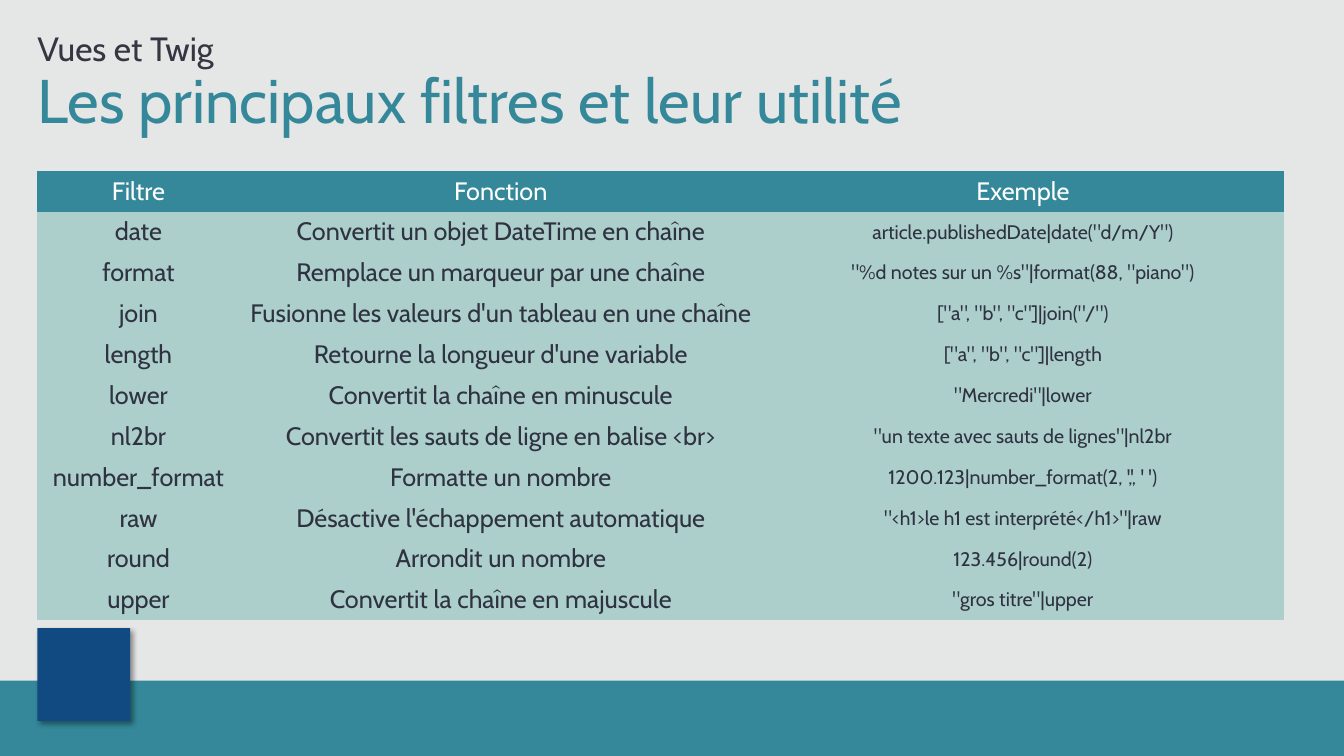
from dataclasses import dataclass

from lxml.etree import SubElement
from pptx import Presentation
from pptx.dml.color import RGBColor as Rgb
from pptx.enum.shapes import MSO_SHAPE as Shape
from pptx.enum.text import MSO_ANCHOR as Anchor, MSO_AUTO_SIZE as AutoSize, PP_ALIGN as Align
from pptx.oxml.ns import qn
from pptx.util import Cm, Pt


@dataclass(frozen=True)
class Theme:
    font: str = "Cabin"
    background: str = "E5E6E6"
    accent: str = "348899"
    subtitle: str = "343642"
    rows: str = "ACCFCC"
    row_text: str = "2F3240"
    header_text: str = "FFFFFF"
    badge: str = "114A81"
    shadow: str = "000000"
    title_size: int = 44
    subtitle_size: int = 24
    table_size: int = 18
    example_size: int = 14


THEME = Theme()
LEFT = 0.94
COLUMN_WIDTHS = (5.1, 13.16, 13.16)
ROW_HEIGHT = 1.03

HEADINGS = ("Filtre", "Fonction", "Exemple")
FILTERS = (
    ("date", "Convertit un objet DateTime en chaîne", 'article.publishedDate|date("d/m/Y")'),
    ("format", "Remplace un marqueur par une chaîne", '"%d notes sur un %s"|format(88, "piano")'),
    ("join", "Fusionne les valeurs d'un tableau en une chaîne", '["a", "b", "c"]|join("/")'),
    ("length", "Retourne la longueur d'une variable", '["a", "b", "c"]|length'),
    ("lower", "Convertit la chaîne en minuscule", '"Mercredi"|lower'),
    ("nl2br", "Convertit les sauts de ligne en balise <br>", '"un texte avec sauts de lignes"|nl2br'),
    ("number_format", "Formatte un nombre", "1200.123|number_format(2, ',', ' ')"),
    ("raw", "Désactive l'échappement automatique", '"<h1>le h1 est interprété</h1>"|raw'),
    ("round", "Arrondit un nombre", "123.456|round(2)"),
    ("upper", "Convertit la chaîne en majuscule", '"gros titre"|upper'),
)


def apply(target, formats):
    for attribute, value in formats.items():
        setattr(target, attribute, value)


def style_font(paragraph, size, color):
    apply(paragraph.font, {"name": THEME.font, "size": Pt(size), "bold": False})
    paragraph.font.color.rgb = Rgb.from_string(color)


def fill_solid(target, color):
    target.fill.solid()
    target.fill.fore_color.rgb = Rgb.from_string(color)


def add_block(slide, left, top, width, height, color):
    block = slide.shapes.add_shape(Shape.RECTANGLE, Cm(left), Cm(top), Cm(width), Cm(height))
    fill_solid(block, color)
    block.line.fill.background()
    block.shadow.inherit = False
    return block


def add_drop_shadow(block):
    effects = block._element.spPr.find(qn("a:effectLst"))
    shadow = SubElement(effects, qn("a:outerShdw"), blurRad=str(Pt(4)), dist=str(Pt(3)),
                        dir="2700000", algn="tl", rotWithShape="0")
    color = SubElement(shadow, qn("a:srgbClr"), val=THEME.shadow)
    SubElement(color, qn("a:alpha"), val="40000")


def fill_heading(heading, text, top, height, size, color, anchor):
    apply(heading, {"left": Cm(LEFT), "top": Cm(top), "width": Cm(32.1), "height": Cm(height)})
    frame = heading.text_frame
    frame.text = text
    apply(frame, {"margin_left": 0, "margin_right": 0, "margin_top": 0, "margin_bottom": 0,
                  "word_wrap": True, "auto_size": AutoSize.NONE, "vertical_anchor": anchor})
    paragraph = frame.paragraphs[0]
    apply(paragraph, {"alignment": Align.LEFT, "line_spacing": 0.9, "space_before": Pt(0)})
    # No bullet and no hanging indent
    properties = paragraph._p.get_or_add_pPr()
    properties.set("marL", "0")
    properties.set("indent", "0")
    SubElement(properties, qn("a:buNone"))
    style_font(paragraph, size, color)


def fill_cell(cell, text, size, color, background):
    cell.text = text
    cell.vertical_anchor = Anchor.MIDDLE
    fill_solid(cell, background)
    paragraph = cell.text_frame.paragraphs[0]
    paragraph.alignment = Align.CENTER
    style_font(paragraph, size, color)


def add_filter_table(slide, top):
    row_count = len(FILTERS) + 1
    table = slide.shapes.add_table(row_count, len(HEADINGS), Cm(LEFT), Cm(top),
                                   Cm(sum(COLUMN_WIDTHS)), Cm(ROW_HEIGHT * row_count)).table
    apply(table, {"first_row": False, "horz_banding": False})
    # Remove the borders of the default style
    table._tbl.tblPr.find(qn("a:tableStyleId")).text = "{2D5ABB26-0587-4C30-8999-92F81FD0307C}"
    for column, width in zip(table.columns, COLUMN_WIDTHS):
        column.width = Cm(width)
    for row in table.rows:
        row.height = Cm(ROW_HEIGHT)
    for index, heading in enumerate(HEADINGS):
        fill_cell(table.cell(0, index), heading, THEME.table_size, THEME.header_text, THEME.accent)
    sizes = (THEME.table_size, THEME.table_size, THEME.example_size)
    for number, entry in enumerate(FILTERS, start=1):
        for index, (text, size) in enumerate(zip(entry, sizes)):
            fill_cell(table.cell(number, index), text, size, THEME.row_text, THEME.rows)


def main():
    deck = Presentation()
    apply(deck, {"slide_width": Cm(33.87), "slide_height": Cm(19.05)})
    slide = deck.slides.add_slide(deck.slide_layouts[1])
    fill_solid(slide.background, THEME.background)

    # Footer band and plain badge
    add_block(slide, 0, 17.15, 33.87, 1.9, THEME.accent)
    badge = add_block(slide, LEFT, 15.83, 2.34, 2.34, THEME.badge)
    add_drop_shadow(badge)

    # Title and chapter name
    fill_heading(slide.shapes.title, "Les principaux filtres et leur utilité",
                 1.78, 1.7, THEME.title_size, THEME.accent, Anchor.TOP)
    fill_heading(slide.placeholders[1], "Vues et Twig",
                 0.53, 1.2, THEME.subtitle_size, THEME.subtitle, Anchor.BOTTOM)

    # Filter reference
    add_filter_table(slide, 4.3)
    deck.save("out.pptx")


if __name__ == "__main__":
    main()
